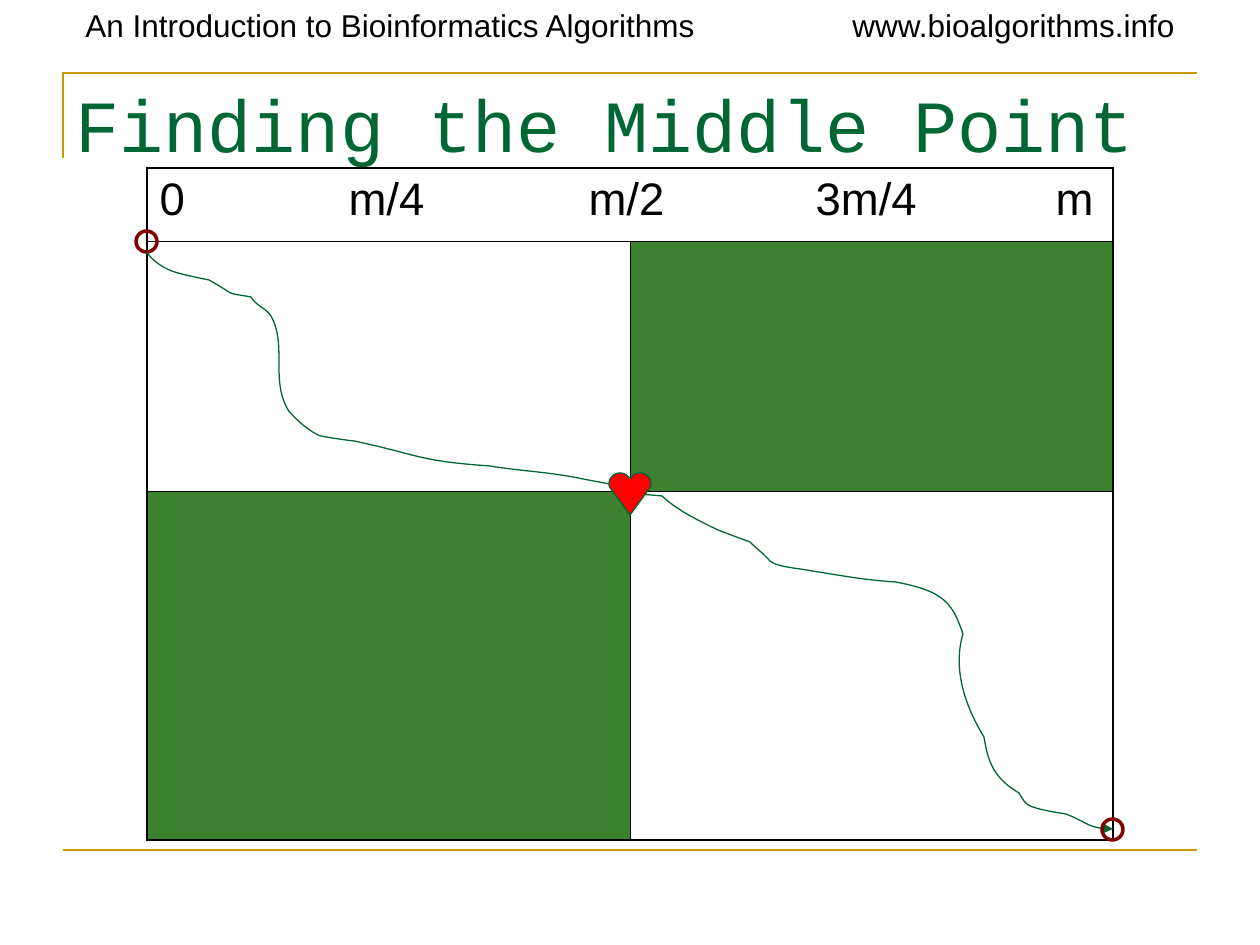
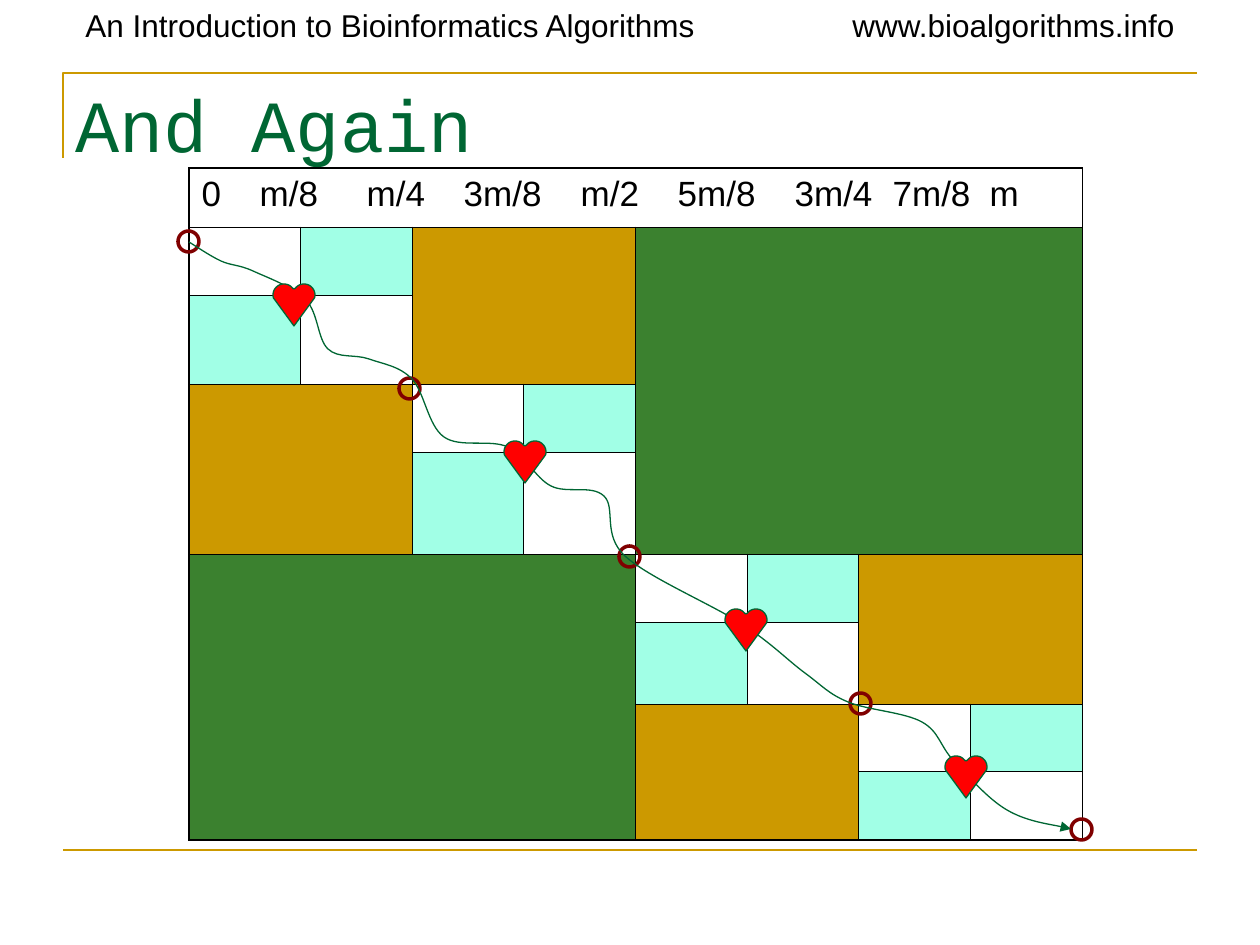
from math import cos, radians, sin

from lxml import etree
from pptx import Presentation
from pptx.dml.color import RGBColor
from pptx.enum.shapes import MSO_CONNECTOR, MSO_SHAPE
from pptx.oxml.ns import qn
from pptx.util import Emu, Pt

STRAIGHT = MSO_CONNECTOR.STRAIGHT
RING = MSO_SHAPE.FLOWCHART_CONNECTOR

EMU_PER_PX = 914400 / 126
SLIDE_WIDTH, SLIDE_HEIGHT = 1260, 945

BLACK = RGBColor(0x00, 0x00, 0x00)
TITLE_GREEN = RGBColor(0x00, 0x66, 0x33)
BLOCK_GREEN = RGBColor(0x3B, 0x81, 0x2F)
GOLD = RGBColor(0xCC, 0x99, 0x00)
MINT = RGBColor(0xA1, 0xFF, 0xE6)
RED = RGBColor(0xFF, 0x00, 0x00)
MAROON = RGBColor(0x80, 0x00, 0x00)

LEVEL_COLOURS = (BLOCK_GREEN, GOLD, MINT)
THICK, THIN = Pt(1.08), Pt(0.45)
TABLE_TOP = 168
RING_SIZE = 21

# Each segment: two control points and an end point
HALVES_START = (147, 252)
HALVES_SEGMENTS = [
    ((151, 260), (165, 270), (178, 273)),
    ((188, 276), (209, 280), (209, 280)),
    ((239, 297), (223, 292), (251, 297)),
    ((255, 305), (267, 309), (271, 316)),
    ((287, 345), (271, 378), (287, 408)),
    ((290, 415), (309, 431), (318, 435)),
    ((321, 437), (353, 441), (354, 441)),
    ((420, 455), (417, 461), (490, 466)),
    ((519, 471), (549, 472), (578, 478)),
    ((588, 480), (609, 484), (609, 484)),
    ((625, 494), (639, 494), (662, 496)),
    ((677, 510), (697, 520), (718, 530)),
    ((728, 534), (750, 542), (750, 542)),
    ((756, 548), (764, 554), (770, 561)),
    ((777, 567), (796, 568), (806, 570)),
    ((838, 575), (863, 580), (895, 582)),
    ((946, 591), (953, 605), (963, 634)),
    ((953, 668), (964, 704), (984, 737)),
    ((988, 760), (992, 777), (1019, 793)),
    ((1023, 799), (1024, 805), (1036, 808)),
    ((1045, 811), (1066, 814), (1066, 814)),
    ((1086, 822), (1089, 829), (1113, 829)),
]

EIGHTHS_KNOTS = [
    (189, 242), (221, 261), (253, 271), (306, 300), (328, 349), (369, 359),
    (412, 379), (444, 437), (508, 447), (551, 486), (604, 496), (625, 556),
    (742, 624), (805, 673), (848, 702), (922, 722), (954, 761), (1007, 810),
    (1071, 829),
]
EIGHTHS_RINGS = [
    (178, 231), (1071, 819), (283, 294), (399, 378), (514, 451), (619, 546),
    (735, 619), (850, 693), (955, 766),
]
EIGHTHS_HEARTS = [(273, 284), (504, 441), (725, 609), (945, 756)]


def px(value):
    return Emu(round(value * EMU_PER_PX))


def format_text(text_frame, font_name, size, colour):
    for run in text_frame.paragraphs[0].runs:
        run.font.name = font_name
        run.font.size = Pt(size)
        run.font.color.rgb = colour


def add_text(slide, text, box, font_name, size, colour):
    text_frame = slide.shapes.add_textbox(*map(px, box)).text_frame
    text_frame.word_wrap = True
    text_frame.text = text
    format_text(text_frame, font_name, size, colour)


def add_outline(slide, points, colour, width, fill=None):
    """Draw straight pieces through the points, closed when there is a fill."""
    corners = [(px(x), px(y)) for x, y in points]
    builder = slide.shapes.build_freeform(*corners[0])
    builder.add_line_segments(corners[1:], close=fill is not None)
    shape = builder.convert_to_shape()
    shape.shadow.inherit = False
    shape.line.color.rgb = colour
    shape.line.width = Pt(width)
    if fill is None:
        shape.fill.background()
    else:
        shape.fill.solid()
        shape.fill.fore_color.rgb = fill
    return shape


def add_framed_slide(presentation, title):
    """Add a slide with the running heads, gold rules and title."""
    slide = presentation.slides.add_slide(presentation.slide_layouts[6])
    add_outline(slide, [(63, 158), (63, 73), (1197, 73)], GOLD, 1.5)
    rule = slide.shapes.add_connector(STRAIGHT, px(63), px(850), px(1197), px(850))
    rule.line.color.rgb = GOLD
    rule.line.width = Pt(1.5)
    etree.SubElement(rule._element.spPr, qn("a:effectLst"))
    add_text(slide, "An Introduction to Bioinformatics Algorithms",
             (73, 0, 693, 50), "Arial", 18, BLACK)
    add_text(slide, "www.bioalgorithms.info",
             (840, 0, 368, 50), "Arial", 18, BLACK)
    add_text(slide, title, (63, 73, 1134, 122), "Courier New", 42, TITLE_GREEN)
    return slide


def set_borders(cell, edge_widths):
    properties = cell._tc.get_or_add_tcPr()
    for tag, width in edge_widths.items():
        line = etree.SubElement(properties, qn(f"a:{tag}"), w=str(width))
        solid = etree.SubElement(line, qn("a:solidFill"))
        etree.SubElement(solid, qn("a:srgbClr"), val=str(BLACK))


def set_tab_stops(paragraph, stops):
    tab_list = etree.SubElement(paragraph._p.get_or_add_pPr(), qn("a:tabLst"))
    for stop in stops:
        etree.SubElement(tab_list, qn("a:tab"), pos=str(px(stop)), algn="l")


def discarded_blocks(column_count):
    """Yield row, column, size and colour of the blocks off the diagonal."""
    size = column_count // 2
    for colour in LEVEL_COLOURS:
        if size == 0:
            return
        for start in range(0, column_count, 2 * size):
            yield start + 1, start + size, size, colour
            yield start + size + 1, start, size, colour
        size //= 2


def add_grid(slide, left, width, row_heights, labels, label_stops, label_size,
             right_border):
    """Add the table of halved blocks under one merged row of labels."""
    row_count = len(row_heights)
    column_count = row_count - 1
    table = slide.shapes.add_table(
        row_count, column_count, px(left), px(TABLE_TOP), px(width),
        px(sum(row_heights))).table
    table.first_row = table.horz_banding = False
    for column in table.columns:
        column.width = px(width / column_count)
    for row, height in zip(table.rows, row_heights):
        row.height = px(height)

    header = table.cell(0, 0)
    header.merge(table.cell(0, column_count - 1))
    fills = {}
    for row, column, size, colour in discarded_blocks(column_count):
        fills[row, column] = colour
        if size > 1:
            table.cell(row, column).merge(
                table.cell(row + size - 1, column + size - 1))

    for row in range(row_count):
        for column in range(column_count):
            cell = table.cell(row, column)
            if cell.is_spanned:
                continue
            rows_spanned = cell.span_height if cell.is_merge_origin else 1
            columns_spanned = cell.span_width if cell.is_merge_origin else 1
            at_right = column + columns_spanned == column_count
            at_bottom = row + rows_spanned == row_count
            set_borders(cell, {
                "lnL": THICK if column == 0 else THIN,
                "lnR": right_border if at_right else THIN,
                "lnT": THICK if row == 0 else THIN,
                "lnB": THICK if at_bottom else THIN,
            })
            if (row, column) in fills:
                cell.fill.solid()
                cell.fill.fore_color.rgb = fills[row, column]
            else:
                cell.fill.background()

    header.text_frame.text = "\t".join(labels)
    set_tab_stops(header.text_frame.paragraphs[0], label_stops)
    format_text(header.text_frame, "Arial", label_size, BLACK)


def smooth_segments(knots):
    """Return Catmull-Rom curve segments through the knots."""
    padded = [knots[0], *knots, knots[-1]]
    segments = []
    for before, start, end, after in zip(padded, padded[1:], padded[2:], padded[3:]):
        leaving = [s + (e - b) / 6 for b, s, e in zip(before, start, end)]
        arriving = [e - (a - s) / 6 for s, e, a in zip(start, end, after)]
        segments.append((leaving, arriving, end))
    return segments


def add_alignment_curve(slide, start, segments):
    """Draw the knots as a freeform, then bend each piece and add the arrowhead."""
    knots = [start, *(end for _, _, end in segments)]
    curve = add_outline(slide, knots, TITLE_GREEN, 0.75)
    pieces = list(curve._element.iter(qn("a:lnTo")))
    for piece, segment in zip(pieces, segments):
        piece.clear()
        bend = etree.Element(qn("a:cubicBezTo"))
        for x, y in segment:
            etree.SubElement(bend, qn("a:pt"), x=str(px(x) - curve.left),
                             y=str(px(y) - curve.top))
        piece.getparent().replace(piece, bend)
    etree.SubElement(curve.line._get_or_add_ln(), qn("a:tailEnd"), type="triangle")


def add_ring(slide, left, top):
    ring = slide.shapes.add_shape(
        RING, px(left), px(top), px(RING_SIZE), px(RING_SIZE))
    ring.shadow.inherit = False
    ring.fill.background()
    ring.line.color.rgb = MAROON
    ring.line.width = Pt(2)


def add_heart(slide, left, top):
    lobe = [(11 + 11 * cos(radians(angle)), 11 + 11 * sin(radians(angle)))
            for angle in range(165, 326, 10)]
    mirrored = [(42 - x, y) for x, y in reversed(lobe)]
    outline = [(21, 42), *lobe, *mirrored]
    add_outline(slide, [(left + x, top + y) for x, y in outline],
                TITLE_GREEN, 0.75, RED)


def main():
    presentation = Presentation()
    presentation.slide_width = px(SLIDE_WIDTH)
    presentation.slide_height = px(SLIDE_HEIGHT)

    slide = add_framed_slide(presentation, "Finding the Middle Point")
    add_grid(slide, 147, 966, [73, 250, 349],
             ["0", "m/4", "m/2", "3m/4", "m"], [189, 429, 656, 896], 26, THICK)
    add_ring(slide, 136, 231)
    add_alignment_curve(slide, HALVES_START, HALVES_SEGMENTS)
    add_ring(slide, 1102, 819)
    add_heart(slide, 609, 473)

    slide = add_framed_slide(presentation, "And Again")
    add_grid(slide, 189, 893, [59, 68, 89, 68, 102, 68, 82, 68, 68],
             ["0", "m/8", "m/4", "3m/8", "m/2", "5m/8", "3m/4", "7m/8", "m"],
             [58, 165, 262, 379, 476, 593, 691, 788], 20, THIN)
    for position in EIGHTHS_RINGS:
        add_ring(slide, *position)
    add_alignment_curve(slide, EIGHTHS_KNOTS[0], smooth_segments(EIGHTHS_KNOTS))
    for position in EIGHTHS_HEARTS:
        add_heart(slide, *position)

    presentation.save("out.pptx")


if __name__ == "__main__":
    main()
